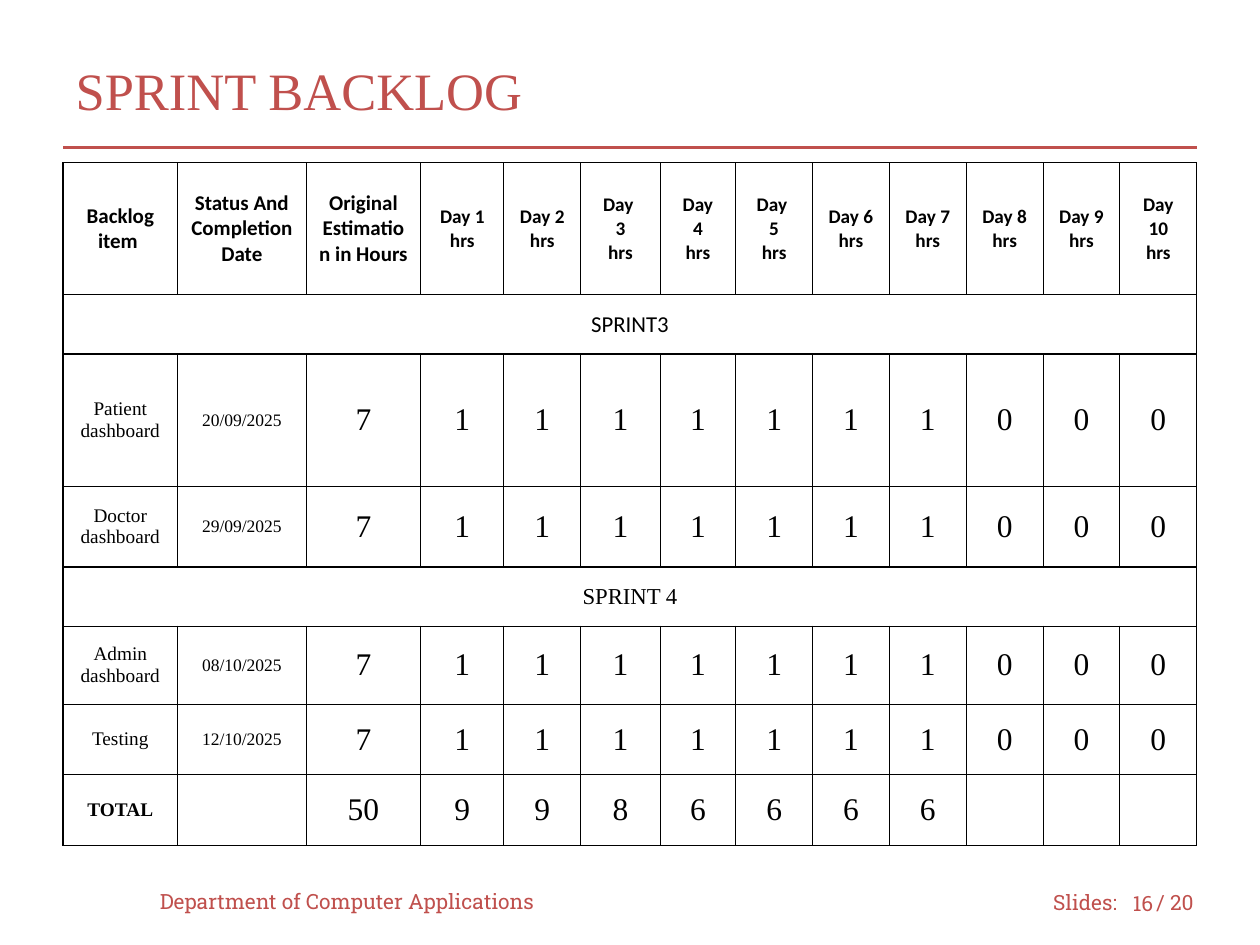
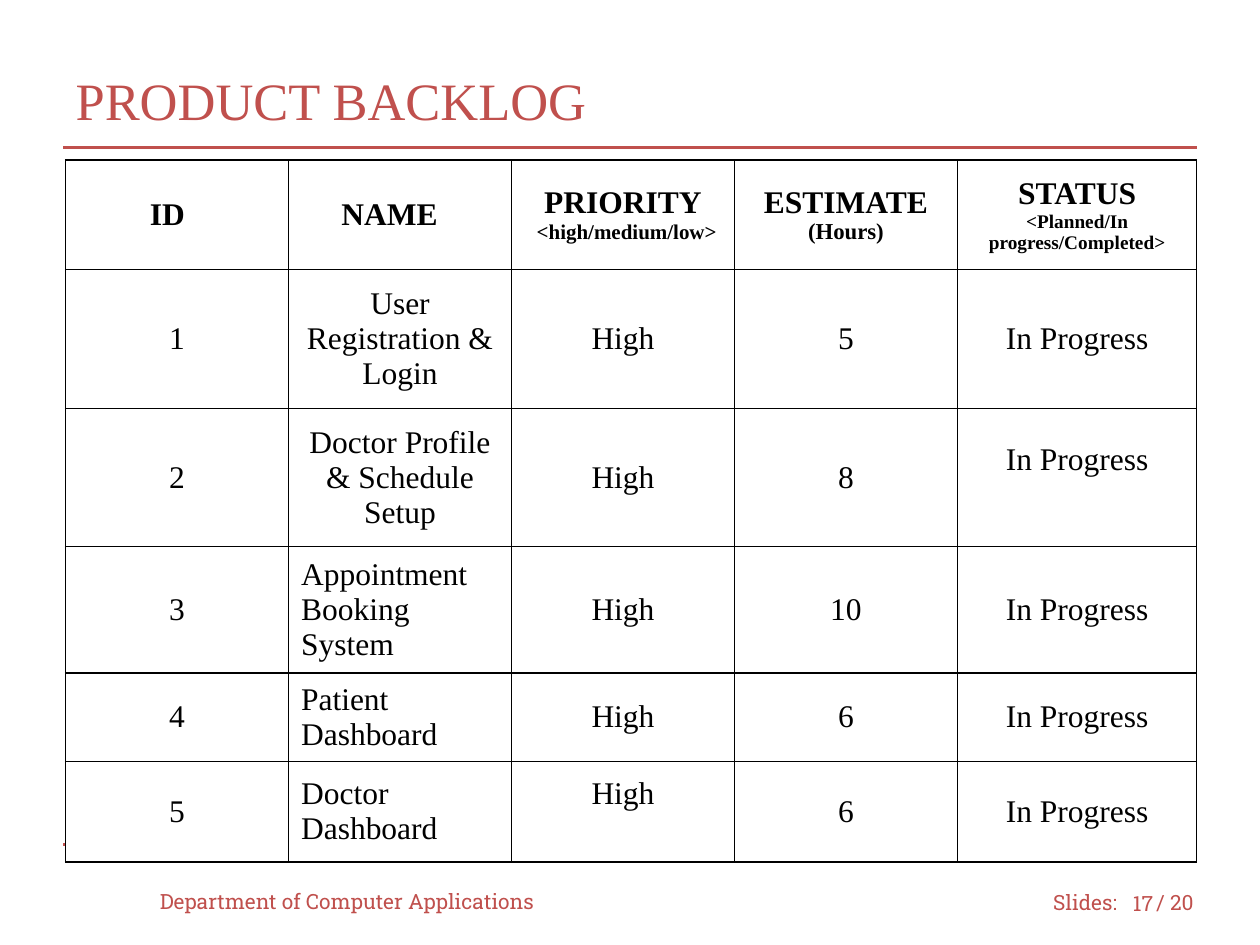
import pptx
import pptx.dml.color
import pptx.enum.dml
import pptx.enum.shapes
import pptx.enum.text
import pptx.oxml
import pptx.oxml.ns
import pptx.util

PX = 9144  # 100 px to the inch
COLORS = {"accent": "C0504D", "ink": "000000", "paper": "FFFFFF"}
SERIF, SANS, SLAB = "Times New Roman", "Calibri", "Roboto Slab"
ALIGN = pptx.enum.text.PP_ALIGN
MIDDLE = pptx.enum.text.MSO_ANCHOR.MIDDLE
NS = pptx.oxml.ns.nsdecls("a")


def px(n):
    return pptx.util.Emu(n * PX)


def rgb(name):
    return pptx.dml.color.RGBColor.from_string(COLORS[name])


class Deck:
    def __init__(self):
        self.prs = pptx.Presentation()
        self.prs.slide_width, self.prs.slide_height = px(1000), px(750)
        self.s = None

    def run(self, p, text, size, font, color, bold=False):
        r = p.add_run()
        r.text = text
        r.font.size = pptx.util.Pt(size)
        r.font.name, r.font.bold = font, bold
        r.font.color.rgb = rgb(color)

    def slide(self, title, title_y, number):
        """Start a slide with the shared rules, title and footer."""
        self.s = self.prs.slides.add_slide(self.prs.slide_layouts[5])
        self.title(title, title_y)
        self.rule(670, dashed=True)
        self.rule(117)
        self.label("Department of Computer Applications", 117, 695, 333)
        self.label("Slides:", 826, 696, 75)
        self.label(number, 883, 697, 42, ALIGN.RIGHT)
        self.label("/ 20", 908, 696, 58)

    def title(self, text, y):
        sp = self.s.shapes.title
        sp.left, sp.top, sp.width, sp.height = px(50), px(y), px(900), px(92)
        tf = sp.text_frame
        tf.auto_size = pptx.enum.text.MSO_AUTO_SIZE.NONE
        tf.vertical_anchor = MIDDLE
        tf.paragraphs[0].alignment = ALIGN.LEFT
        self.run(tf.paragraphs[0], text, 30, SERIF, "accent")

    def rule(self, y, dashed=False):
        line = self.s.shapes.add_connector(
            pptx.enum.shapes.MSO_CONNECTOR.STRAIGHT, px(50), px(y), px(950), px(y))
        line.line.color.rgb = rgb("accent")
        line.line.width = pptx.util.Pt(1.75)
        if dashed:
            line.line.dash_style = pptx.enum.dml.MSO_LINE.DASH
        line._element.spPr.append(pptx.oxml.parse_xml(f"<a:effectLst {NS}/>"))

    def label(self, text, x, y, w, align=ALIGN.LEFT):
        tf = self.s.shapes.add_textbox(px(x), px(y), px(w), px(40)).text_frame
        tf.word_wrap, tf.vertical_anchor = True, MIDDLE
        tf.paragraphs[0].alignment = align
        self.run(tf.paragraphs[0], text, 12, SLAB, "accent")

    def table(self, x, y, cols, rows):
        """Add a white table with thin black borders all round."""
        tbl = self.s.shapes.add_table(
            len(rows), len(cols), px(x), px(y), px(sum(cols)), px(sum(rows))).table
        tbl.first_row = tbl.horz_banding = False
        for col, w in zip(tbl.columns, cols):
            col.width = px(w)
        for row, h in zip(tbl.rows, rows):
            row.height = px(h)
        for c in tbl.iter_cells():
            for side in "LRTB":
                c._tc.get_or_add_tcPr().append(pptx.oxml.parse_xml(
                    f'<a:ln{side} {NS} w="9525"><a:solidFill><a:srgbClr '
                    f'val="{COLORS["ink"]}"/></a:solidFill></a:ln{side}>'))
            c.fill.solid()
            c.fill.fore_color.rgb = rgb("paper")
        return tbl

    def cell(self, c, lines, font=SERIF, bold=False, align=ALIGN.CENTER,
             inset=10, bottom=None):
        """Fill a cell; a line is (text, size), or (text, size, indent) if left-aligned."""
        c.vertical_anchor = MIDDLE
        c.margin_left = c.margin_right = px(10)
        c.margin_top, c.margin_bottom = px(inset), px(bottom or inset)
        tf = c.text_frame
        for i, (text, size, *indent) in enumerate(lines):
            p = tf.add_paragraph() if i else tf.paragraphs[0]
            p.alignment = ALIGN.LEFT if indent else align
            if indent:
                p._p.get_or_add_pPr().set("marL", str(px(indent[0])))
            self.run(p, text, size, font, "ink", bold)


def sprint_backlog(deck):
    deck.slide("SPRINT BACKLOG", 25, "16")
    tbl = deck.table(50, 129, [91, 102, 91, 66, 61, 63, 60] + [61] * 6,
                     [105, 47, 105, 64, 47, 62, 56, 56])

    # Header: three columns of facts, then one per day
    heads = ["Backlog item ", "Status And Completion Date", "Original Estimation in Hours "]
    split_days = {3: ["Day ", "3"], 4: ["Day", "4"], 5: ["Day ", "5"]}
    header = [[(h, 12)] for h in heads]
    for day in range(1, 11):
        words = split_days.get(day, [f"Day {day}"]) + ["hrs"]
        header.append([(w, 11) for w in words])
    for col, lines in enumerate(header):
        deck.cell(tbl.cell(0, col), lines, SANS, bold=True)

    # Sprint bands
    for row, name, font in [(1, "SPRINT3", SANS), (4, "SPRINT 4", SERIF)]:
        tbl.cell(row, 0).merge(tbl.cell(row, 12))
        deck.cell(tbl.cell(row, 0), [(name, 13)], font)

    # Items and totals
    daily = [7] + [1] * 7 + [0] * 3
    items = {
        2: (["Patient dashboard"], "20/09/2025", daily),
        3: (["Doctor dashboard"], "29/09/2025", daily),
        5: (["Admin", "dashboard"], "08/10/2025", daily),
        6: (["Testing"], "12/10/2025", daily),
        7: (["TOTAL"], None, [50, 9, 9, 8, 6, 6, 6, 6]),
    }
    for row, (item, date, hours) in items.items():
        deck.cell(tbl.cell(row, 0), [(t, 11) for t in item], bold=date is None)
        if date:
            deck.cell(tbl.cell(row, 1), [(date, 10)])
        for col, value in enumerate(hours, 2):
            deck.cell(tbl.cell(row, col), [(str(value), 18)])


def product_backlog(deck):
    deck.slide("PRODUCT BACKLOG", 33, "17")
    tbl = deck.table(52, 127, [177] * 4 + [190], [87, 110, 110, 100, 70, 80])

    # Header
    header = [
        [("ID", 18, 57)],
        [("NAME", 18, 32)],
        [("PRIORITY", 18), ("<high/medium/low>", 12, 10)],
        [("ESTIMATE", 18), ("(Hours)", 13)],
        [("STATUS", 18), ("<Planned/In progress/Completed>", 11)],
    ]
    for col, lines in enumerate(header):
        deck.cell(tbl.cell(0, col), lines, bold=True)

    # Items
    items = [
        (["User Registration & Login"], 5),
        (["Doctor Profile & Schedule Setup"], 8),
        (["Appointment", "Booking", "System"], 10),
        (["Patient Dashboard"], 6),
        (["Doctor Dashboard"], 6),
    ]
    raised = {(2, 4), (5, 2)}  # cells whose text sits above the middle
    for row, (name, hours) in enumerate(items, 1):
        left = {"align": ALIGN.LEFT, "inset": 5} if row > 2 else {}
        deck.cell(tbl.cell(row, 1), [(t, 18) for t in name], **left)
        for col, text in {0: row, 2: "High", 3: hours, 4: "In Progress"}.items():
            deck.cell(tbl.cell(row, col), [(str(text), 18)],
                      bottom=38 if (row, col) in raised else None)


def main():
    deck = Deck()
    sprint_backlog(deck)
    product_backlog(deck)
    deck.prs.save("out.pptx")


if __name__ == "__main__":
    main()
